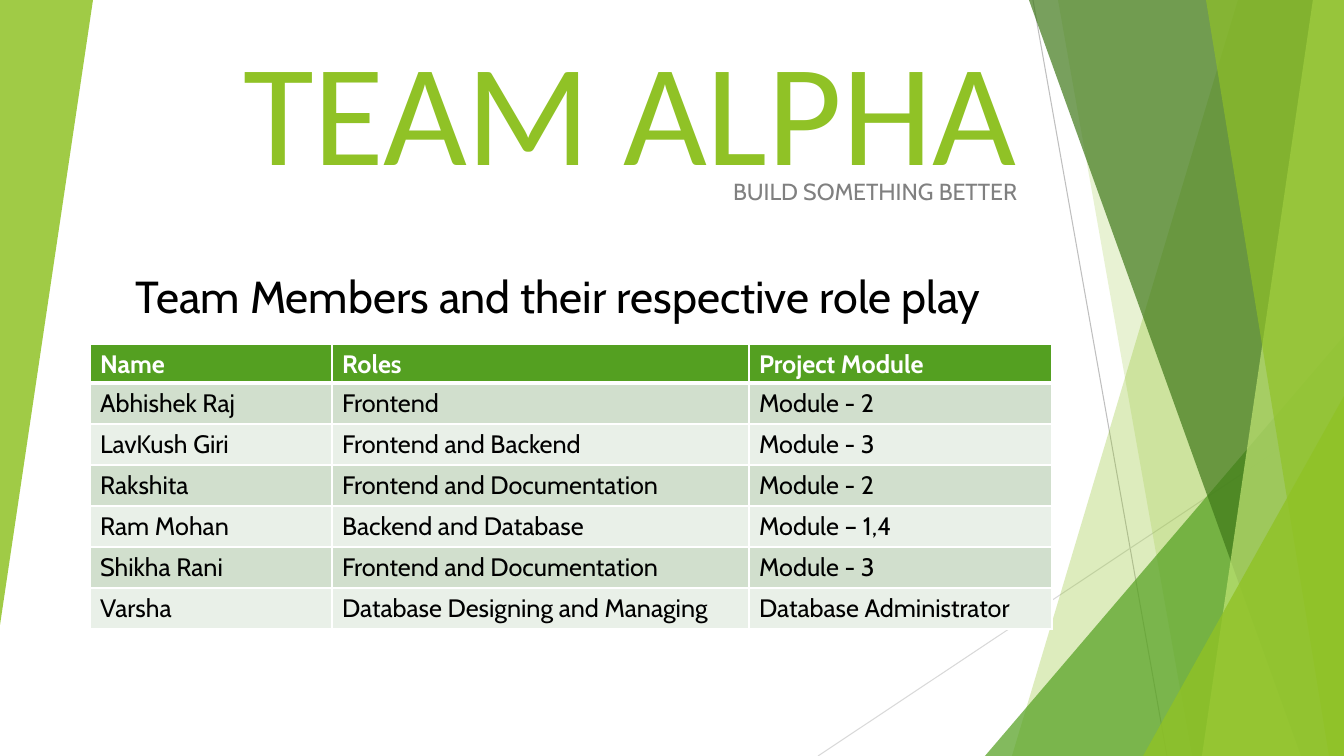
from typing import Any, NamedTuple

from lxml.etree import SubElement
from pptx import Presentation
from pptx.dml.color import RGBColor
from pptx.enum.shapes import MSO_CONNECTOR as Connector, MSO_SHAPE as Preset
from pptx.enum.text import MSO_ANCHOR as Anchor, MSO_AUTO_SIZE as AutoSize, PP_ALIGN as Align
from pptx.oxml.ns import qn
from pptx.util import Emu, Pt

SCALE = 914400 / 100.8
WIDTH, HEIGHT = 1344, 756
LIME, GREEN, WHITE, BLACK = "90C226", "54A021", "FFFFFF", "000000"
BANDS = ("D1DFCD", "E9F0E8")


class Line(NamedTuple):
    start: tuple[int, int]
    end: tuple[int, int]
    color: str


class Slab(NamedTuple):
    top_left: int
    bottom_left: int
    color: str
    opacity: int


class Wedge(NamedTuple):
    left: int
    top: int
    width: int
    height: int
    color: str
    opacity: int
    rotation: int = 0


class Font(NamedTuple):
    size: float
    color: str
    name: str = "Cabin"
    bold: bool = False


DECORATION = (
    Line((1033, 0), (1167, HEIGHT), "BFBFBF"),
    Line((WIDTH, 406), (818, HEIGHT), "D9D9D9"),
    Slab(1238, 1012, LIME, 30),
    Slab(1058, 1192, LIME, 20),
    Wedge(985, 336, 359, 420, GREEN, 72),
    Slab(1029, 1301, "3F7819", 70),
    Slab(1313, 1202, "C0E474", 70),
    Slab(1206, 1329, LIME, 65),
    Wedge(1143, 396, 201, 360, LIME, 80),
    Wedge(0, 0, 93, 625, LIME, 85, 180),
)
COLUMNS = (242, 417, 303)
HEADER_HEIGHT, ROW_HEIGHT = 39, 41
ROWS = (
    ("Name", "Roles", "Project Module"),
    ("Abhishek Raj", "Frontend", "Module - 2"),
    ("LavKush Giri", "Frontend and Backend", "Module - 3"),
    ("Rakshita", "Frontend and Documentation", "Module - 2"),
    ("Ram Mohan", "Backend and Database", "Module – 1,4"),
    ("Shikha Rani", "Frontend and Documentation", "Module - 3"),
    ("Varsha", "Database Designing and Managing", "Database Administrator"),
)


def px(length: float) -> Emu:
    return Emu(round(length * SCALE))


def rgb(color: str) -> RGBColor:
    return RGBColor.from_string(color)


def apply_format(target: Any, values: dict[str, Any]) -> None:
    for name, value in values.items():
        setattr(target, name, value)


def place(box: Any, left: int, top: int, width: int, height: int) -> None:
    apply_format(box, {"left": px(left), "top": px(top), "width": px(width), "height": px(height)})


def write(frame: Any, text: str, font: Font, align: Align, spacing: float = 1.0) -> None:
    para = frame.paragraphs[0]
    apply_format(para, {"alignment": align, "line_spacing": spacing, "space_before": Pt(0)})
    span = para.add_run()
    span.text = text
    apply_format(span.font, {"name": font.name, "size": Pt(font.size), "bold": font.bold})
    span.font.color.rgb = rgb(font.color)


def draw_line(page: Any, line: Line) -> None:
    connector = page.shapes.add_connector(Connector.STRAIGHT, *map(px, line.start + line.end))
    connector.line.width = Pt(0.75)
    connector.line.color.rgb = rgb(line.color)
    SubElement(connector.element.spPr, qn("a:effectLst"))


def paint(shape: Any, color: str, opacity: int) -> None:
    shape.shadow.inherit = False
    shape.fill.solid()
    shape.fill.fore_color.rgb = rgb(color)
    shape.line.fill.background()
    tint = shape.element.spPr.find(f"{qn('a:solidFill')}/{qn('a:srgbClr')}")
    SubElement(tint, qn("a:alpha")).set("val", str(opacity * 1000))


def draw_slab(page: Any, slab: Slab) -> None:
    builder = page.shapes.build_freeform(slab.top_left, 0, scale=SCALE)
    builder.add_line_segments([(WIDTH, 0), (WIDTH, HEIGHT), (slab.bottom_left, HEIGHT)], close=True)
    paint(builder.convert_to_shape(), slab.color, slab.opacity)


def draw_wedge(page: Any, wedge: Wedge) -> None:
    shape = page.shapes.add_shape(Preset.ISOSCELES_TRIANGLE, *map(px, wedge[:4]))
    shape.adjustments[0] = 1
    shape.rotation = wedge.rotation
    paint(shape, wedge.color, wedge.opacity)


def add_borders(cell: Any, row: int) -> None:
    widths = {"lnL": 1, "lnR": 1, "lnT": 3 if row == 1 else 1, "lnB": 3 if row == 0 else 1}
    properties = cell._tc.get_or_add_tcPr()
    for side, width in widths.items():
        border = SubElement(properties, qn(f"a:{side}"), w=str(Pt(width)))
        SubElement(SubElement(border, qn("a:solidFill")), qn("a:srgbClr"), val=WHITE)


def draw_table(page: Any, left: int, top: int) -> None:
    heights = [HEADER_HEIGHT] + [ROW_HEIGHT] * (len(ROWS) - 1)
    area = map(px, (left, top, sum(COLUMNS), sum(heights)))
    table = page.shapes.add_table(len(ROWS), len(COLUMNS), *area).table
    for column, width in zip(table.columns, COLUMNS):
        column.width = px(width)
    for row, (texts, height) in enumerate(zip(ROWS, heights)):
        header = row == 0
        table.rows[row].height = px(height)
        for column, text in enumerate(texts):
            cell = table.cell(row, column)
            add_borders(cell, row)
            cell.fill.solid()
            cell.fill.fore_color.rgb = rgb(GREEN if header else BANDS[(row - 1) % 2])
            apply_format(cell, {"margin_top": px(5), "margin_bottom": px(3 if header else 5)})
            font = Font(18, WHITE if header else BLACK, bold=header)
            write(cell.text_frame, text, font, Align.LEFT)


deck = Presentation()
apply_format(deck, {"slide_width": px(WIDTH), "slide_height": px(HEIGHT)})
page = deck.slides.add_slide(deck.slide_layouts[0])
title, subtitle = page.placeholders

drawers = {Line: draw_line, Slab: draw_slab, Wedge: draw_wedge}
for item in DECORATION:
    drawers[type(item)](page, item)

for box in (title, subtitle):
    page.shapes.element.append(box.element)
    apply_format(box.text_frame, {"auto_size": AutoSize.NONE, "word_wrap": True, "margin_bottom": 0})

place(title, 44, 32, 983, 163)
apply_format(title.text_frame, {"vertical_anchor": Anchor.BOTTOM, "margin_top": 0})
write(title.text_frame, "TEAM ALPHA", Font(103.5, LIME, "Calibri"), Align.RIGHT, 0.85)

place(subtitle, 44, 172, 983, 34)
subtitle.text_frame.vertical_anchor = Anchor.TOP
write(subtitle.text_frame, "BUILD SOMETHING BETTER", Font(16.6, "808080"), Align.RIGHT)

heading = page.shapes.add_textbox(*map(px, (90, 264, 937, 65)))
apply_format(heading.text_frame, {"word_wrap": False, "auto_size": AutoSize.SHAPE_TO_FIT_TEXT})
write(heading.text_frame, "Team Members and their respective role play", Font(32, BLACK), Align.CENTER)

draw_table(page, 90, 344)
deck.save("out.pptx")
